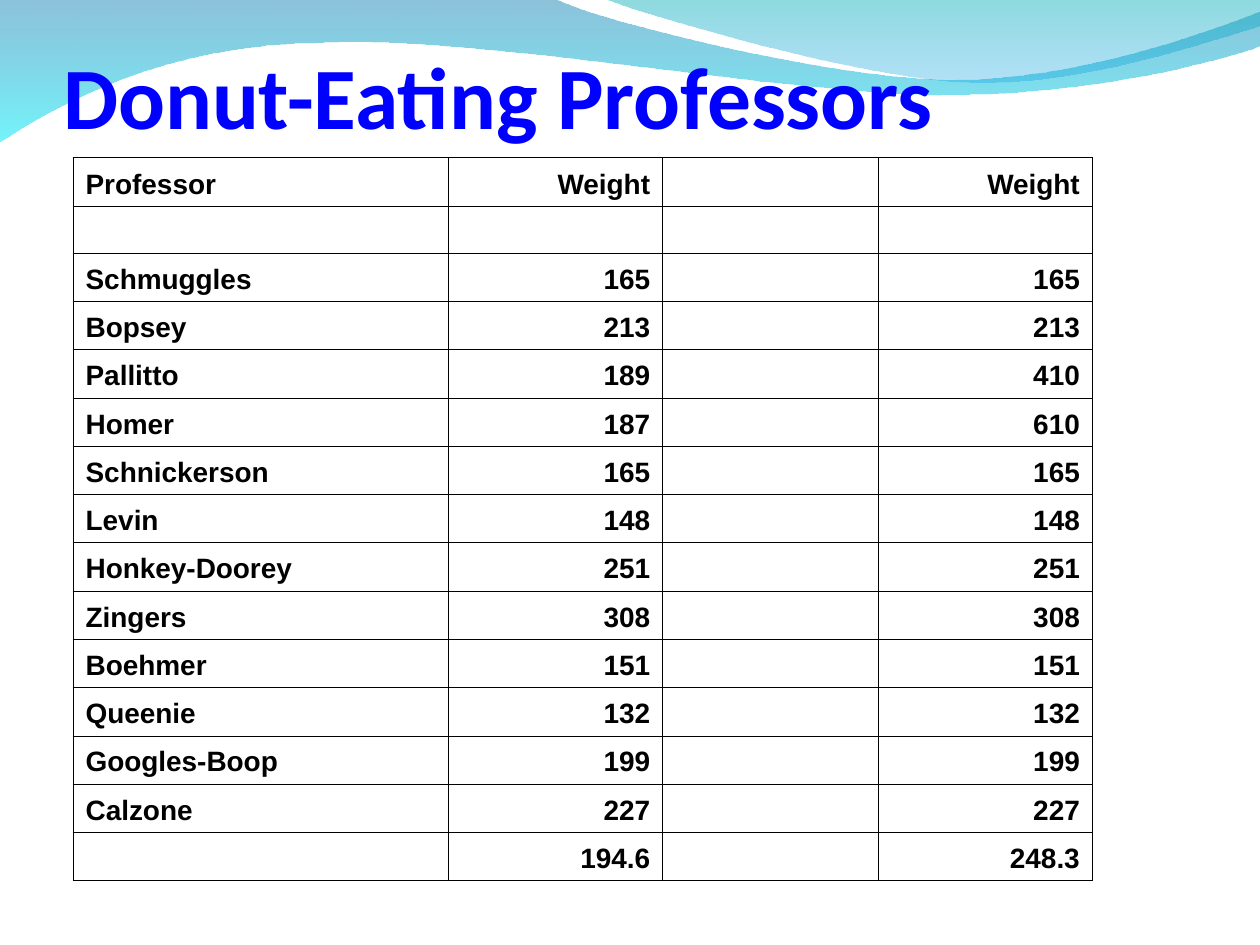
from dataclasses import dataclass

from lxml import etree
from pptx import Presentation
from pptx import util as u
from pptx.dml.color import RGBColor
from pptx.enum import text
from pptx.oxml import ns

COLOURS = {
    "title": "0000FF",
    "ink": "000000",
    "cell": "FFFFFF",
    "deep_blue": "0079AF",
    "cyan": "00EBF8",
    "teal": "00ADB6",
    "sky": "009BE5",
}
BORDER_WIDTH = u.Pt(0.45)
COLUMN_WIDTHS = (2.98, 1.7, 1.71, 1.7)
HEADER_HEIGHT = 0.39
SPACER_HEIGHT = 0.37
BODY_HEIGHT = 4.98

Point = tuple[float, float]


@dataclass(frozen=True)
class Stop:
    colour: str
    opacity: int


@dataclass(frozen=True)
class Wave:
    start: Point
    segments: tuple[tuple[Point, ...], ...]
    top: Stop
    bottom: Stop


@dataclass(frozen=True)
class Row:
    professor: str = ""
    weight: str = ""
    later_weight: str = ""


WAVES = (
    Wave(
        (0, -0.01),
        (
            ((4.4, -0.01),),
            ((4.76, 0.17), (6.64, 0.63), (7.58, 0.63)),
            ((8.53, 0.63), (9.58, 0.26), (10, 0.09)),
            ((10.01, 0.36),),
            ((9.83, 0.44), (8.7, 0.76), (7.46, 0.75)),
            ((6.22, 0.75), (3.82, 0.28), (2.57, 0.34)),
            ((1.29, 0.35), (0.46, 0.83), (-0.01, 1.13)),
            ((0, -0.01),),
        ),
        Stop("deep_blue", 45),
        Stop("cyan", 55),
    ),
    Wave(
        (4.79, -0.01),
        (
            ((5.09, 0.11), (6.82, 0.62), (7.69, 0.65)),
            ((8.56, 0.69), (9.61, 0.32), (10, 0.21)),
            ((10, 0),),
            ((4.79, -0.01),),
        ),
        Stop("teal", 45),
        Stop("sky", 30),
    ),
)

ROWS = (
    Row("Professor", "Weight", "Weight"),
    Row(),
    Row("Schmuggles", "165", "165"),
    Row("Bopsey", "213", "213"),
    Row("Pallitto", "189", "410"),
    Row("Homer", "187", "610"),
    Row("Schnickerson", "165", "165"),
    Row("Levin", "148", "148"),
    Row("Honkey-Doorey", "251", "251"),
    Row("Zingers", "308", "308"),
    Row("Boehmer", "151", "151"),
    Row("Queenie", "132", "132"),
    Row("Googles-Boop", "199", "199"),
    Row("Calzone", "227", "227"),
    Row("", "194.6", "248.3"),
)


def rgb(name: str) -> RGBColor:
    return RGBColor.from_string(COLOURS[name])


def bend_segments(ribbon, segments: tuple[tuple[Point, ...], ...]) -> None:
    steps = iter(list(ribbon._element.iter(ns.qn("a:lnTo"))))
    for segment in segments:
        group = [next(steps) for _ in segment]
        if len(group) == 3:
            curve = etree.Element(ns.qn("a:cubicBezTo"))
            group[0].addprevious(curve)
            for step in group:
                curve.append(step[0])
                step.getparent().remove(step)


def draw_wave(slide, wave: Wave) -> None:
    builder = slide.shapes.build_freeform(*map(u.Inches, wave.start))
    builder.add_line_segments(
        [(u.Inches(x), u.Inches(y)) for segment in wave.segments for x, y in segment],
        close=True,
    )
    ribbon = builder.convert_to_shape()
    bend_segments(ribbon, wave.segments)
    ribbon.shadow.inherit = False
    ribbon.line.fill.background()
    ribbon.fill.gradient()
    ribbon.fill.gradient_angle = 270
    stops = (wave.top, wave.bottom)
    for position, (blend, stop) in enumerate(zip(ribbon.fill.gradient_stops, stops)):
        blend.position = position
        blend.color.rgb = rgb(stop.colour)
    colours = ribbon._element.spPr.iter(ns.qn("a:srgbClr"))
    for colour, stop in zip(colours, stops):
        etree.SubElement(colour, ns.qn("a:alpha"), val=str(stop.opacity * 1000))


def add_run(paragraph, words: str, size: int, face: str, colour: str) -> None:
    run = paragraph.add_run()
    run.text = words
    run.font.size = u.Pt(size)
    run.font.name = face
    run.font.bold = True
    run.font.color.rgb = rgb(colour)


def draw_title(slide, words: str) -> None:
    heading = slide.shapes.add_textbox(
        u.Inches(0.5), u.Inches(0), u.Inches(9.08), u.Inches(1.17)
    ).text_frame
    heading.word_wrap = True
    heading.vertical_anchor = text.MSO_ANCHOR.BOTTOM
    heading.margin_left = heading.margin_right = heading.margin_bottom = 0
    heading.margin_top = u.Inches(0.05)
    add_run(heading.paragraphs[0], words, 50, "Calibri", "title")


def draw_borders(cell) -> None:
    properties = cell._tc.get_or_add_tcPr()
    for side in ("lnL", "lnR", "lnT", "lnB"):
        edge = etree.SubElement(properties, ns.qn(f"a:{side}"), w=str(BORDER_WIDTH))
        paint = etree.SubElement(edge, ns.qn("a:solidFill"))
        etree.SubElement(paint, ns.qn("a:srgbClr"), val=COLOURS["ink"])


def fill_cell(cell, words: str, align: text.PP_ALIGN) -> None:
    draw_borders(cell)
    cell.fill.solid()
    cell.fill.fore_color.rgb = rgb("cell")
    cell.vertical_anchor = text.MSO_ANCHOR.BOTTOM
    paragraph = cell.text_frame.paragraphs[0]
    paragraph.alignment = align
    if words:
        add_run(paragraph, words, 16, "Arial", "ink")
    else:
        etree.SubElement(paragraph._p, ns.qn("a:endParaRPr"), sz="1600")


def draw_weights(slide, rows: tuple[Row, ...]) -> None:
    body_rows = len(rows) - 2
    heights = [HEADER_HEIGHT, SPACER_HEIGHT] + [BODY_HEIGHT / body_rows] * body_rows
    weights = slide.shapes.add_table(
        len(rows), len(COLUMN_WIDTHS), u.Inches(0.58), u.Inches(1.25),
        u.Inches(sum(COLUMN_WIDTHS)), u.Inches(sum(heights)),
    ).table
    weights.first_row = weights.horz_banding = False
    for column, width in zip(weights.columns, COLUMN_WIDTHS):
        column.width = u.Inches(width)
    left, right = text.PP_ALIGN.LEFT, text.PP_ALIGN.RIGHT
    for line, row, height in zip(weights.rows, rows, heights):
        line.height = u.Inches(height)
        entries = (row.professor, row.weight, "", row.later_weight)
        for cell, words, align in zip(line.cells, entries, (left, right, left, right)):
            fill_cell(cell, words, align)


def main() -> None:
    deck = Presentation()
    deck.slide_width, deck.slide_height = u.Inches(10), u.Inches(7.5)
    slide = deck.slides.add_slide(deck.slide_layouts[6])
    for wave in WAVES:
        draw_wave(slide, wave)
    draw_title(slide, "Donut-Eating Professors")
    draw_weights(slide, ROWS)
    deck.save("out.pptx")


if __name__ == "__main__":
    main()
